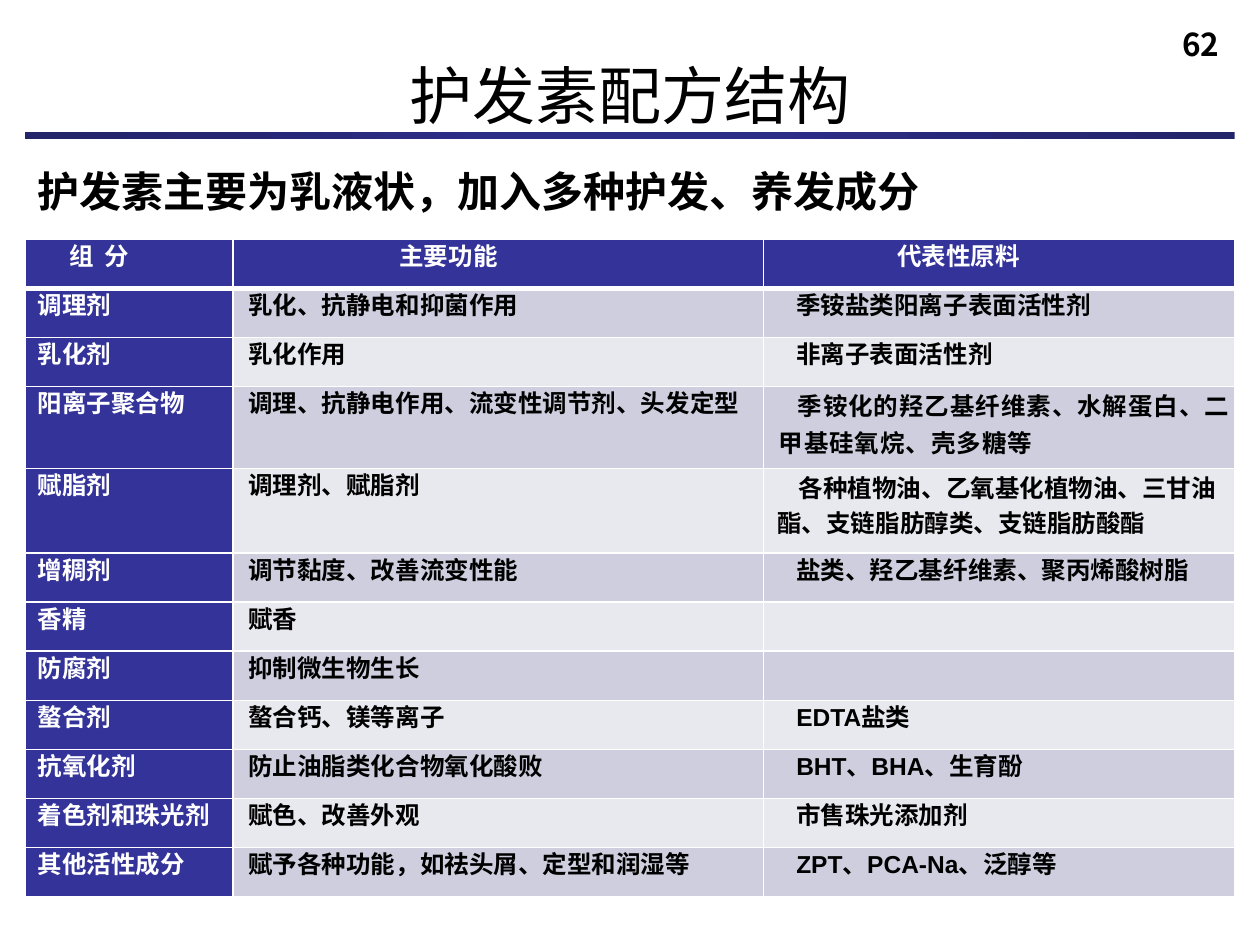
from lxml import etree
from pptx import Presentation
from pptx.dml.color import RGBColor
from pptx.enum.shapes import MSO_SHAPE as SHAPE
from pptx.enum.text import MSO_ANCHOR as ANCHOR, PP_ALIGN as ALIGN
from pptx.oxml import parse_xml
from pptx.oxml.ns import nsdecls, qn
from pptx.util import Inches, Pt

# Content
TITLE = "护发素配方结构"
LEAD = "护发素主要为乳液状，加入多种护发、养发成分"
PAGE = "62"
ROWS = [
    ("组  分", "主要功能", "代表性原料"),
    ("调理剂", "乳化、抗静电和抑菌作用", "季铵盐类阳离子表面活性剂"),
    ("乳化剂", "乳化作用", "非离子表面活性剂"),
    ("阳离子聚合物", "调理、抗静电作用、流变性调节剂、头发定型",
     "季铵化的羟乙基纤维素、水解蛋白、二 甲基硅氧烷、壳多糖等"),
    ("赋脂剂", "调理剂、赋脂剂",
     "各种植物油、乙氧基化植物油、三甘油 酯、支链脂肪醇类、支链脂肪酸酯"),
    ("增稠剂", "调节黏度、改善流变性能", "盐类、羟乙基纤维素、聚丙烯酸树脂"),
    ("香精", "赋香", ""),
    ("防腐剂", "抑制微生物生长", ""),
    ("螯合剂", "螯合钙、镁等离子", "EDTA盐类"),
    ("抗氧化剂", "防止油脂类化合物氧化酸败", "BHT、BHA、生育酚"),
    ("着色剂和珠光剂", "赋色、改善外观", "市售珠光添加剂"),
    ("其他活性成分", "赋予各种功能，如祛头屑、定型和润湿等", "ZPT、PCA-Na、泛醇等"),
]

# Layout and style
COL_WIDTHS = (1.65, 4.21, 3.74)
ROW_HEIGHT, TALL_ROWS = 0.39, {3: 0.65, 4: 0.67}
HEADER_INDENTS, BODY_INDENTS = (0.35, 1.32, 1.06), (0.1, 0.12, 0.26)
# Two-line cells: left margin, first-line indent, line spacing, letter spacing
WRAPPED = {(3, 2): (0.12, 0.15, 1.02, 0.5), (4, 2): (0.11, 0.17, 1.0, 0)}
SC, TC = "Noto Sans CJK SC", "Noto Sans CJK TC"
BLACK, WHITE, NAVY = "000000", "FFFFFF", "333399"
BANDS = ("E8E8EF", "CECEDE")
RULE_STOPS = ((0, "2D2D88"), (23, "2D2D88"), (69, "262673"), (97, "24246B"))


def rgb(value):
    return RGBColor.from_string(value)


def style(p, size, color, latin, east=SC, bold=True, spacing=0):
    font = p.font
    font.size, font.bold, font.name = Pt(size), bold, latin
    font.color.rgb = rgb(color)
    props = p._p.pPr.find(qn("a:defRPr"))
    etree.SubElement(props, qn("a:ea")).set("typeface", east)
    if spacing:
        props.set("spc", str(round(spacing * 100)))


def fill_box(shape, box, text, anchor, side=0.0):
    shape.left, shape.top, shape.width, shape.height = map(Inches, box)
    tf = shape.text_frame
    tf.word_wrap, tf.vertical_anchor = True, anchor
    tf.margin_top = tf.margin_bottom = 0
    tf.margin_left = tf.margin_right = Inches(side)
    tf.text = text
    return tf.paragraphs[0]


def border(cell, side, width):
    cell._tc.get_or_add_tcPr().append(parse_xml(
        f'<a:ln{side} {nsdecls("a")} w="{Pt(width)}"><a:solidFill>'
        f'<a:srgbClr val="{WHITE}"/></a:solidFill></a:ln{side}>'))


def format_cell(cell, row, col, text):
    cell.margin_left = cell.margin_right = cell.margin_top = cell.margin_bottom = 0
    for side in "LRTB":
        heavy = (row, side) in ((0, "B"), (1, "T"))
        border(cell, side, 3 if heavy else 1)
    dark = row == 0 or col == 0
    cell.fill.solid()
    cell.fill.fore_color.rgb = rgb(NAVY if dark else BANDS[row % 2])

    cell.text = text
    p = cell.text_frame.paragraphs[0]
    indents = BODY_INDENTS if row else HEADER_INDENTS
    margin, first, line, spacing = WRAPPED.get((row, col), (indents[col], 0, 0.91, 0))
    p.line_spacing = line
    style(p, 14, WHITE if dark else BLACK, "Arial", spacing=spacing)
    p._p.pPr.set("marL", str(Inches(margin)))
    p._p.pPr.set("indent", str(Inches(first)))


prs = Presentation()
prs.slide_width, prs.slide_height = Inches(10), Inches(7.5)
s = prs.slides.add_slide(prs.slide_layouts[5])

# Page number
page = s.shapes.add_textbox(0, 0, 0, 0)
p = fill_box(page, (9.07, 0.2, 0.92, 0.47), PAGE, ANCHOR.TOP)
p.alignment = ALIGN.CENTER
style(p, 18, BLACK, SC)

# Rule under the title, with a radial gradient
rule = s.shapes.add_shape(SHAPE.RECTANGLE, *map(Inches, (0.2, 1.05, 9.6, 0.05)))
rule.shadow.inherit = False
rule.line.fill.background()
rule.fill.gradient()
grad = rule._element.spPr.find(qn("a:gradFill"))
stops = "".join(f'<a:gs pos="{pos * 1000}"><a:srgbClr val="{color}"/></a:gs>'
                for pos, color in RULE_STOPS)
grad.getparent().replace(grad, parse_xml(
    f'<a:gradFill {nsdecls("a")}><a:gsLst>{stops}</a:gsLst><a:path path="circle">'
    '<a:fillToRect l="50000" t="50000" r="50000" b="50000"/></a:path></a:gradFill>'))

# Title and lead sentence
p = fill_box(s.shapes.title, (0, 0.39, 10, 0.71), TITLE, ANCHOR.MIDDLE)
p.alignment = ALIGN.CENTER
style(p, 36, BLACK, TC, TC, bold=False)

lead = s.shapes.add_textbox(0, 0, 0, 0)
p = fill_box(lead, (0.2, 1.11, 9.6, 0.61), LEAD, ANCHOR.MIDDLE, side=0.1)
p.line_spacing = 1.5
style(p, 24, BLACK, SC)

# Ingredient table
heights = [TALL_ROWS.get(i, ROW_HEIGHT) for i in range(len(ROWS))]
table = s.shapes.add_table(len(ROWS), len(COL_WIDTHS), Inches(0.2), Inches(1.9),
                           Inches(sum(COL_WIDTHS)), Inches(sum(heights))).table
table.horz_banding = False
for column, width in zip(table.columns, COL_WIDTHS):
    column.width = Inches(width)
for i, (height, texts) in enumerate(zip(heights, ROWS)):
    table.rows[i].height = Inches(height)
    for j, text in enumerate(texts):
        format_cell(table.cell(i, j), i, j, text)

prs.save("out.pptx")
